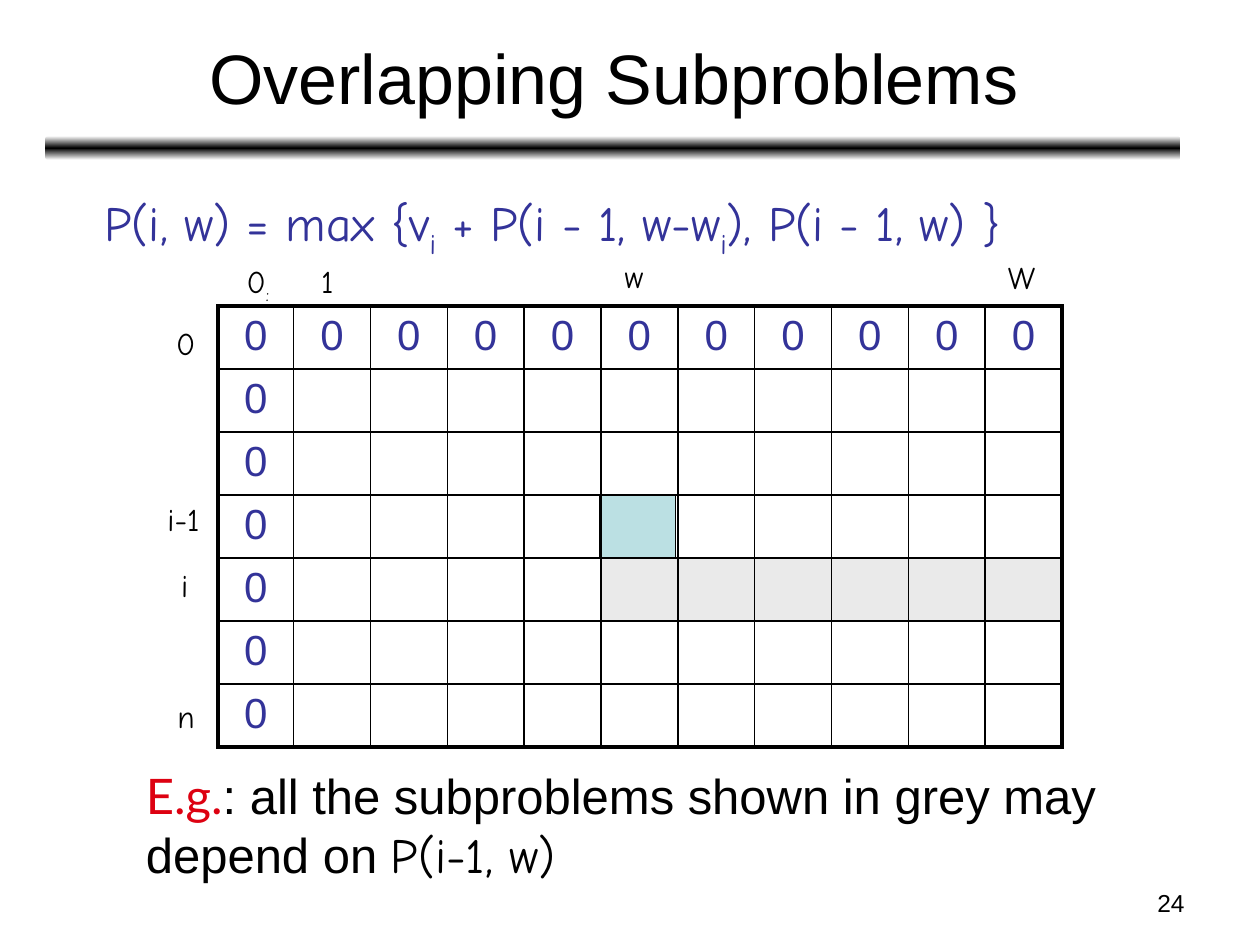
from lxml import etree
from pptx import Presentation, util as u
from pptx.dml.color import RGBColor
from pptx.enum import shapes, text
from pptx.oxml import ns

BLACK = RGBColor(0, 0, 0)
WHITE = RGBColor(255, 255, 255)
INDIGO = RGBColor(0x33, 0x33, 0x99)
TEAL = RGBColor(0xBB, 0xE0, 0xE3)
GREY = RGBColor(0xEA, 0xEA, 0xEA)
RED = RGBColor(0xDD, 0x01, 0x11)
SANS, HAND, LATO = "Arial", "Comic Neue", "Lato"
COLS, ROWS = 100, 75


def node(up, tag, **attrs):
    kid = etree.SubElement(up, ns.qn("a:" + tag))
    for key, val in attrs.items():
        kid.set(key, str(val))
    return kid


def put(para, words, size=18, face=HAND, color=BLACK, base=0):
    run = para.add_run()
    run.text = words
    run.font.size = u.Pt(size)
    run.font.name = face
    run.font.color.rgb = color
    if base:
        run.font._element.set("baseline", str(base * 1000))


class Deck:
    def __init__(self):
        self.file = Presentation()
        self.file.slide_width, self.file.slide_height = u.Inches(10), u.Inches(7.5)
        self.slide = self.file.slides.add_slide(self.file.slide_layouts[1])
        self.items = self.slide.shapes

    def box(self, col, row, wide, high):
        dx, dy = self.file.slide_width / COLS, self.file.slide_height / ROWS
        return [round(n) for n in (col * dx, row * dy, wide * dx, high * dy)]

    def fill_in(self, shape, place, anchor, fit, wrap=True):
        shape.left, shape.top, shape.width, shape.height = self.box(*place)
        frame = shape.text_frame
        frame.word_wrap = wrap
        frame.auto_size = fit
        frame.vertical_anchor = anchor
        para = frame.paragraphs[0]
        para.space_before = u.Pt(0)
        return para

    def holder(self, index, place, anchor):
        return self.fill_in(self.slide.placeholders[index], place, anchor,
                            text.MSO_AUTO_SIZE.NONE)

    def note(self, place, runs, wrap=False, align=text.PP_ALIGN.LEFT):
        shape = self.items.add_textbox(*self.box(*place))
        para = self.fill_in(shape, place, text.MSO_ANCHOR.TOP,
                            text.MSO_AUTO_SIZE.SHAPE_TO_FIT_TEXT, wrap)
        para.alignment = align
        for words, style in runs:
            put(para, words, **style)

    def block(self, kind, place, color):
        shape = self.items.add_shape(kind, *self.box(*place))
        shape.shadow.inherit = False
        shape.fill.solid()
        shape.fill.fore_color.rgb = color
        shape.line.color.rgb = BLACK
        shape.line.width = u.Pt(0.75)
        return shape

    def rule(self, place):
        bar = self.block(shapes.MSO_SHAPE.ROUNDED_RECTANGLE, place, BLACK)
        bar.line.fill.background()
        bar.fill.gradient()
        grad = bar._element.spPr.find(ns.qn("a:gradFill"))
        for kid in list(grad):
            grad.remove(kid)
        stops = node(grad, "gsLst")
        for pos, color in ((0, WHITE), (50, BLACK), (100, WHITE)):
            node(node(stops, "gs", pos=pos * 1000), "srgbClr", val=color)
        node(grad, "lin", ang=90 * 60000, scaled=0)

    def border(self, cell, edges):
        props = cell._tc.get_or_add_tcPr()
        for side, outer in edges.items():
            line = node(props, "ln" + side, w=u.Pt(2.25 if outer else 1))
            node(node(line, "solidFill"), "srgbClr", val=BLACK)

    def grid(self, place, rows, cols, shade):
        table = self.items.add_table(rows, cols, *self.box(*place)).table
        table.first_row = table.horz_banding = False
        for col in range(cols):
            table.columns[col].width = self.box(0, 0, 6.1 if col else 6, 0)[2]
        for row in range(rows):
            table.rows[row].height = self.box(0, 0, 0, place[3] / rows)[3]
            for col in range(cols):
                cell = table.cell(row, col)
                self.border(cell, {"L": col == 0, "R": col == cols - 1,
                                   "T": row == 0, "B": row == rows - 1})
                if (row, col) in shade:
                    cell.fill.solid()
                    cell.fill.fore_color.rgb = GREY
                else:
                    cell.fill.background()
                if row == 0 or col == 0:
                    para = cell.text_frame.paragraphs[0]
                    para.alignment = text.PP_ALIGN.CENTER
                    put(para, "0", size=24, face=SANS, color=INDIGO)


def main():
    deck = Deck()
    deck.rule((3.6, 10.8, 90.1, 1.9))

    title = deck.holder(0, (3.7, 1.1, 90, 9.9), text.MSO_ANCHOR.MIDDLE)
    title.alignment = text.PP_ALIGN.CENTER
    put(title, "Overlapping Subproblems", size=40, face=SANS)

    body = deck.holder(1, (3.5, 14.8, 90, 7.9), text.MSO_ANCHOR.TOP)
    props = body._p.get_or_add_pPr()
    props.set("marL", str(u.Inches(0.38)))
    props.set("indent", str(-u.Inches(0.38)))
    node(props, "buNone")
    put(body, "\t", size=28, face=SANS, color=INDIGO)
    for words, base in (("P(i, w) = max {v", 0), ("i", -25),
                        (" + P(i - 1, w-w", 0), ("i", -25),
                        ("), P(i - 1, w) }", 0)):
        put(body, words, size=28, color=INDIGO, base=base)

    deck.block(shapes.MSO_SHAPE.RECTANGLE, (47.6, 39.3, 6, 5), TEAL)
    deck.grid((17.3, 24.3, 67, 35), 7, 11, {(4, col) for col in range(5, 11)})

    deck.note((18.6, 20.3, 4, 4), [("0", {}), (":", {"base": -25})])
    for words, col, row, wide in (("1", 24.5, 20.3, 3.1), ("w", 48.6, 19.9, 3.7),
                                  ("W", 79, 20, 4.6), ("0", 13, 25.2, 3.5),
                                  ("i-1", 12.3, 39.2, 4.9), ("i", 13.4, 44.4, 2.7),
                                  ("n", 13.1, 54.8, 3.3)):
        deck.note((col, row, wide, 4), [(words, {})])

    deck.note((10.6, 60.3, 79.7, 10.3), [
        ("E.g.", {"size": 28, "face": LATO, "color": RED}),
        (": all the subproblems shown in grey may depend on ",
         {"size": 28, "face": SANS}),
        ("P(i-1, w)", {"size": 28})], wrap=True)
    deck.note((71.7, 70, 23.3, 3.5), [("24", {"size": 14, "face": SANS})],
              wrap=True, align=text.PP_ALIGN.RIGHT)
    deck.file.save("out.pptx")


if __name__ == "__main__":
    main()
